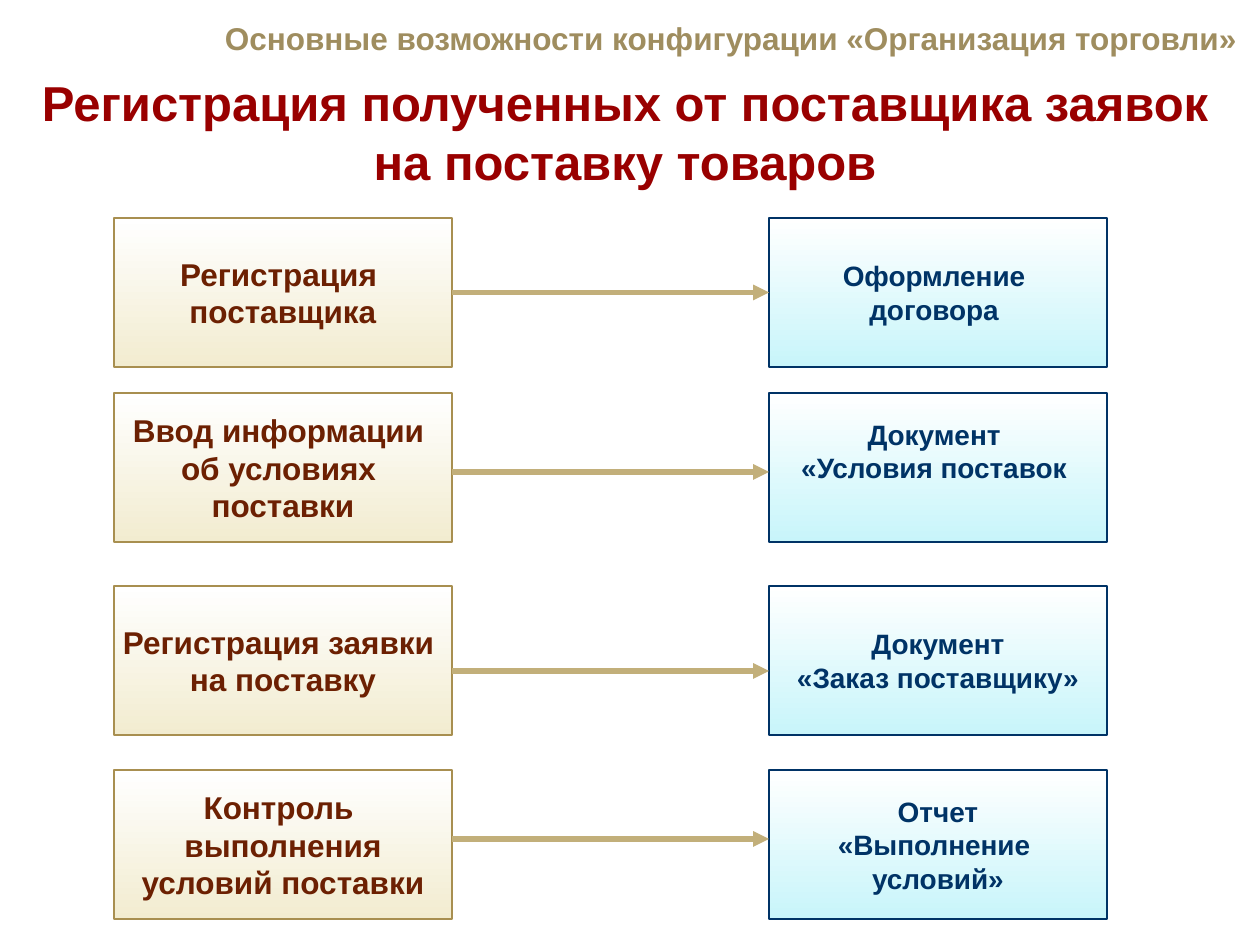
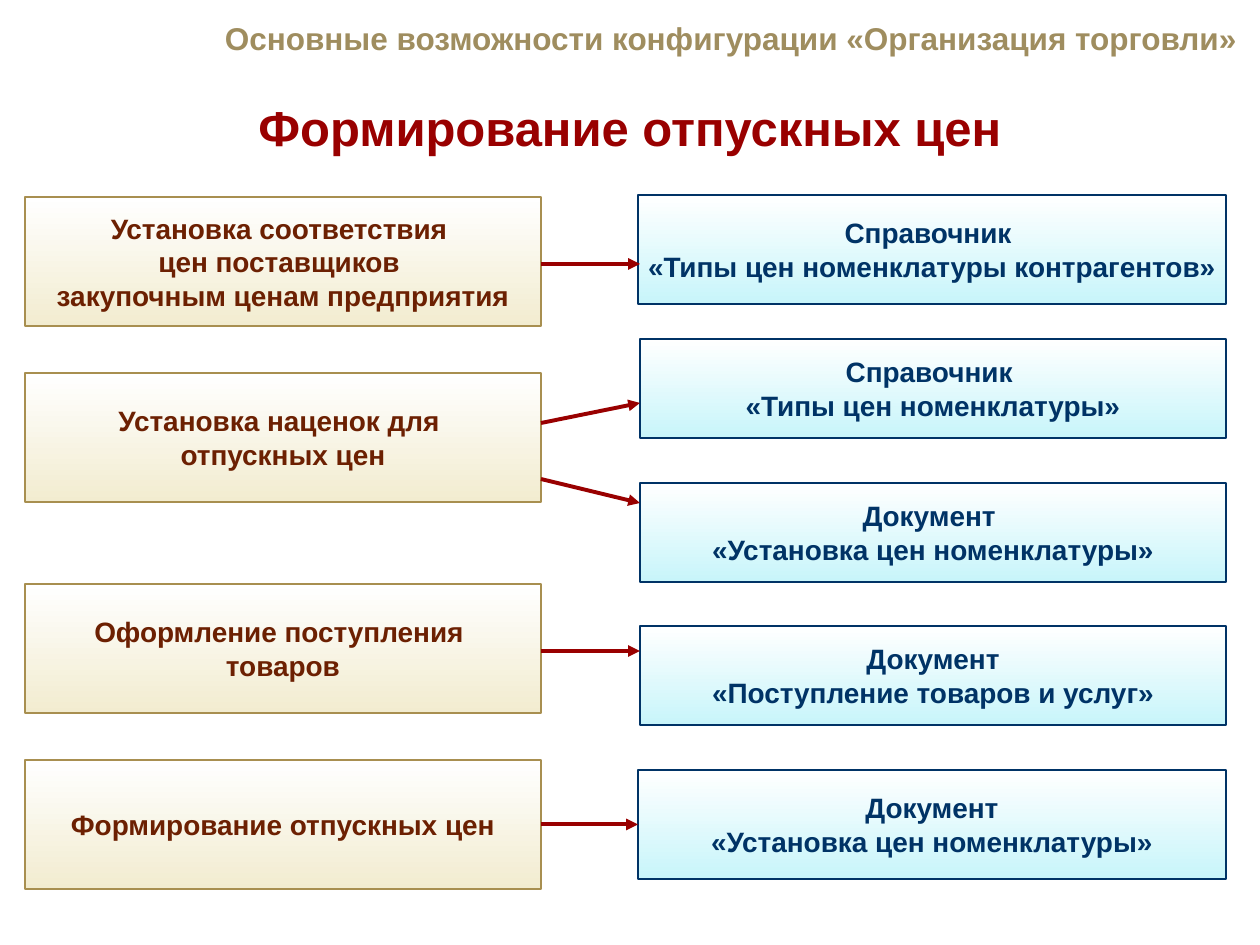
"""Builds two process slides that link trade steps to the records they produce."""
from dataclasses import dataclass

from lxml.etree import SubElement
from pptx import Presentation
from pptx.dml.color import RGBColor
from pptx.enum.shapes import MSO_CONNECTOR as Connector, MSO_SHAPE as Preset
from pptx.enum.text import MSO_ANCHOR as Anchor, PP_ALIGN as Align
from pptx.oxml.ns import qn
from pptx.util import Emu, Pt


@dataclass(frozen=True)
class Theme:
    """Colours and type sizes shared by the slides."""
    font: str = "Arial"
    header: str = "9F8D5F"
    title: str = "990000"
    sand: str = "C2AF7A"
    step_end: str = "F2ECD0"
    step_line: str = "A88F50"
    step_text: str = "6C2002"
    record_end: str = "C8F5FA"
    record_line: str = "003366"
    record_text: str = "003366"
    white: str = "FFFFFF"
    header_size: int = 18
    title_size: int = 28
    large: int = 18
    small: int = 16
    border: float = 0.75


THEME = Theme()
STEP = (THEME.step_end, THEME.step_line, THEME.step_text)
RECORD = (THEME.record_end, THEME.record_line, THEME.record_text)
HEADER = "Основные возможности конфигурации «Организация торговли»"
HEADER_AREA = (116, 13, 1134, 50)
MARGINS = {"margin_left": 13, "margin_right": 13, "margin_top": 6, "margin_bottom": 6}
LINE_HEIGHT = 33

SLIDES = [
    {
        "title": "Регистрация полученных от поставщика заявок на поставку товаров",
        "title_area": (10, 76, 1230, 110),
        "step_size": THEME.large,
        "steps": [
            (114, 218, 338, 149, ["Регистрация ", "поставщика"]),
            (114, 393, 338, 149, ["Ввод информации ", "об условиях ", "поставки"]),
            (114, 586, 338, 149, ["Регистрация заявки ", "на поставку"]),
            (114, 770, 338, 149, ["Контроль ", "выполнения", "условий поставки"]),
        ],
        "records": [
            (769, 218, 338, 149, ["Оформление ", "договора "]),
            (769, 393, 338, 149, ["Документ ", "«Условия поставок "], LINE_HEIGHT),
            (769, 586, 338, 149, ["Документ", "«Заказ поставщику»"]),
            (769, 770, 338, 149, ["Отчет", "«Выполнение ", "условий»"]),
        ],
        "arrow_style": (THEME.sand, 3),
        "arrow_ends": (452, 769),
        "arrows": [(0, 0, 293, 293), (1, 1, 472, 472), (2, 2, 671, 671), (3, 3, 839, 839)],
    },
    {
        "title": "Формирование отпускных цен",
        "title_area": (0, 73, 1260, 108),
        "step_size": THEME.small,
        "steps": [
            (25, 197, 516, 129, ["Установка соответствия ", "цен поставщиков ",
                                 "закупочным ценам предприятия"]),
            (25, 373, 516, 129, ["Установка наценок для ", "отпускных цен"]),
            (25, 584, 516, 129, ["Оформление поступления ", "товаров"]),
            (25, 760, 516, 129, ["Формирование отпускных цен"]),
        ],
        "records": [
            (638, 195, 588, 109, ["Справочник ", "«Типы цен номенклатуры контрагентов»"]),
            (640, 339, 586, 99, ["Справочник ", "«Типы цен номенклатуры»"]),
            (640, 483, 586, 99, ["Документ ", "«Установка цен номенклатуры»"]),
            (640, 626, 586, 99, ["Документ", "«Поступление товаров и услуг»"]),
            (638, 770, 588, 109, ["Документ", "«Установка цен номенклатуры»"]),
        ],
        "arrow_style": (THEME.title, 2.25),
        "arrow_ends": (541, 640),
        "arrows": [(0, 0, 264, 264), (1, 1, 423, 403), (1, 2, 479, 503),
                   (2, 3, 651, 651), (3, 4, 825, 825)],
    },
]


def px(length):
    """Turn pixels into EMU."""
    return Emu(round(length * 914400 / 126))


def rgb(code):
    """Turn a hex code into a colour."""
    return RGBColor.from_string(code)


def write(frame, lines, size, colour, align, anchor, wrap, extra_bottom=0):
    """Fill a text frame with bold lines."""
    frame.word_wrap = wrap
    frame.vertical_anchor = anchor
    for side, margin in MARGINS.items():
        setattr(frame, side, px(margin))
    frame.margin_bottom = px(MARGINS["margin_bottom"] + extra_bottom)
    font_format = {"name": THEME.font, "size": Pt(size), "bold": True}
    for number, line in enumerate(lines):
        paragraph = frame.add_paragraph() if number else frame.paragraphs[0]
        paragraph.alignment = align
        run = paragraph.add_run()
        run.text = line
        for key, value in font_format.items():
            setattr(run.font, key, value)
        run.font.color.rgb = rgb(colour)


def add_heading(slide, text, area, size, colour, align, anchor):
    """Add a line of heading text."""
    heading = slide.shapes.add_textbox(*map(px, area))
    write(heading.text_frame, [text], size, colour, align, anchor, True)


def add_card(slide, card, palette, size):
    """Add a gradient card with centred text."""
    x, y, width, height, lines, *extra_bottom = card
    end, border, colour = palette
    box = slide.shapes.add_shape(Preset.RECTANGLE, *map(px, (x, y, width, height)))
    box.shadow.inherit = False
    box.fill.gradient()
    box.fill.gradient_angle = 270
    for stop, shade in zip(box.fill.gradient_stops, (THEME.white, end)):
        stop.color.rgb = rgb(shade)
    box.line.color.rgb = rgb(border)
    box.line.width = Pt(THEME.border)
    write(box.text_frame, lines, size, colour, Align.CENTER, Anchor.MIDDLE, False, *extra_bottom)
    return box


def at_middle(card, y):
    """Tell whether a height meets the middle of a card's side."""
    return abs(card[1] + card[3] / 2 - y) < 1


def add_arrow(slide, ends, heights, style):
    """Add an arrow between the two columns."""
    (start_x, end_x), (start_y, end_y), (colour, width) = ends, heights, style
    arrow = slide.shapes.add_connector(
        Connector.STRAIGHT, *map(px, (start_x, start_y, end_x, end_y)))
    arrow.line.color.rgb = rgb(colour)
    arrow.line.width = Pt(width)
    SubElement(arrow.line._get_or_add_ln(), qn("a:tailEnd"), type="triangle")
    SubElement(arrow._element.spPr, qn("a:effectLst"))
    return arrow


def build_slide(deck, content):
    """Build one slide from its content."""
    slide = deck.slides.add_slide(deck.slide_layouts[6])
    add_heading(slide, HEADER, HEADER_AREA, THEME.header_size, THEME.header,
                Align.RIGHT, Anchor.TOP)
    add_heading(slide, content["title"], content["title_area"], THEME.title_size,
                THEME.title, Align.CENTER, Anchor.MIDDLE)
    steps, records = content["steps"], content["records"]
    step_boxes = [add_card(slide, step, STEP, content["step_size"]) for step in steps]
    record_boxes = [add_card(slide, record, RECORD, THEME.small) for record in records]
    for step, record, start_y, end_y in content["arrows"]:
        arrow = add_arrow(slide, content["arrow_ends"], (start_y, end_y),
                          content["arrow_style"])
        if at_middle(steps[step], start_y):
            arrow.begin_connect(step_boxes[step], 3)
        if at_middle(records[record], end_y):
            arrow.end_connect(record_boxes[record], 1)


def main():
    """Build and save the deck."""
    deck = Presentation()
    deck.slide_width, deck.slide_height = px(1260), px(945)
    for content in SLIDES:
        build_slide(deck, content)
    deck.save("out.pptx")


if __name__ == "__main__":
    main()
